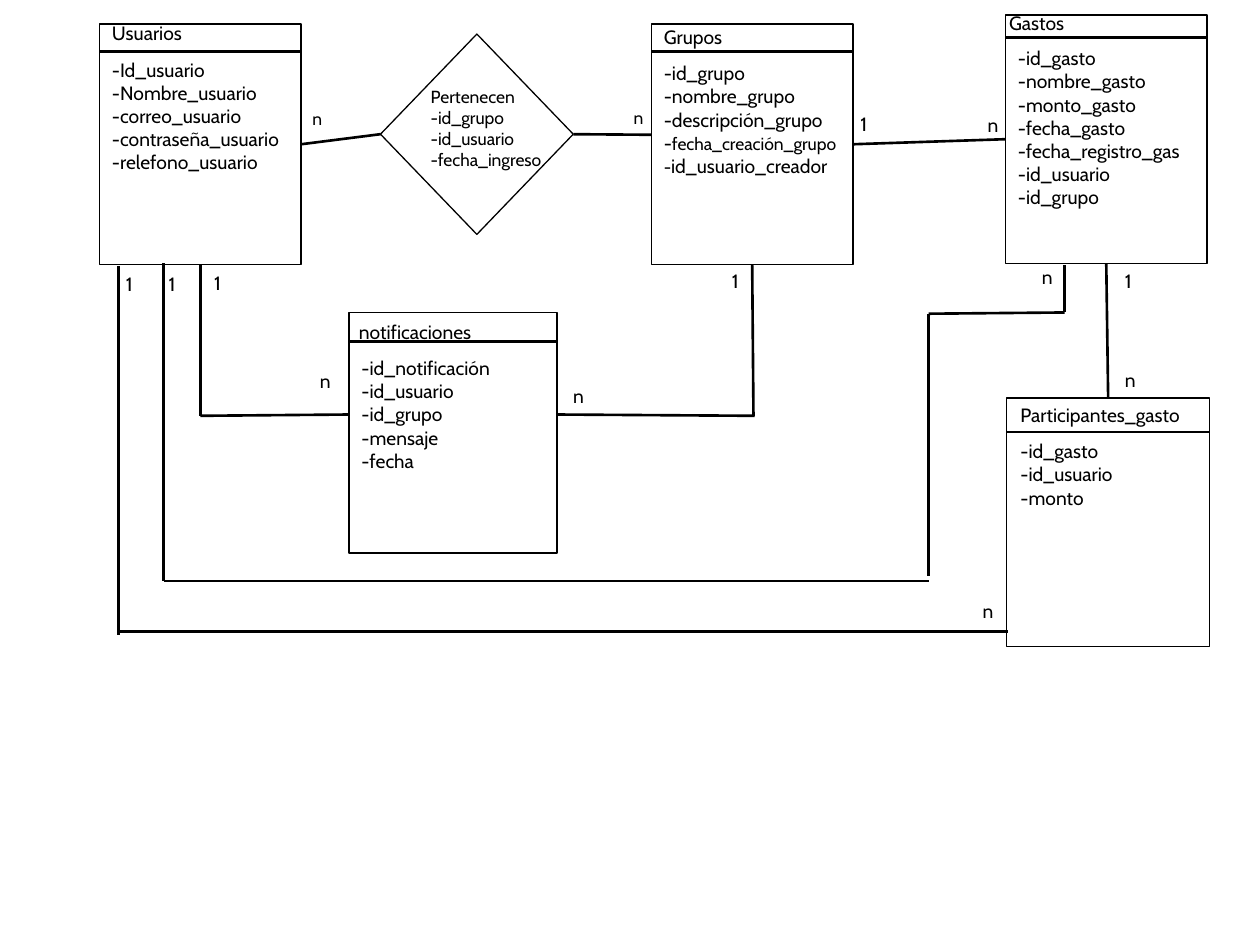
import dataclasses
import typing

import pptx
import pptx.dml.color
import pptx.enum.shapes
import pptx.enum.text
import pptx.oxml.ns
import pptx.util
from lxml import etree

PX = 9144  # EMU per px, at 100 px to the inch
FONT = "Cabin"
INK = "000000"

Frame = tuple[int, int, int, int]  # left, top, width, height
Point = tuple[int, int]


class Span(typing.NamedTuple):
    text: str
    size: int


Line = typing.Union[str, tuple[Span, ...]]


@dataclasses.dataclass
class Entity:
    name: str
    frame: Frame
    rule_y: int
    name_frame: Frame
    fields_frame: Frame
    fields: list[Line]


class Mark(typing.NamedTuple):
    text: str
    left: int
    top: int
    size: int = 11


class Join(typing.NamedTuple):
    shape: typing.Any
    site: int


ENTITIES = [
    Entity("Usuarios", (79, 19, 160, 191), 41, (79, 12, 132, 29), (79, 41, 160, 121),
           ["-Id_usuario", "-Nombre_usuario", "-correo_usuario",
            "-contraseña_usuario", "-relefono_usuario"]),
    Entity("Grupos", (517, 19, 160, 191), 41, (517, 15, 113, 29), (517, 44, 160, 103),
           ["-id_grupo", "-nombre_grupo", "-descripción_grupo",
            (Span("-", 11), Span("fecha_creación_grupo", 10)),
            (Span("-", 10), Span("id_usuario_creador", 11))]),
    Entity("Gastos", (798, 12, 160, 197), 30, (791, 4, 109, 29), (798, 32, 161, 158),
           ["-id_gasto", "-nombre_gasto", "-monto_gasto", "-fecha_gasto",
            "-fecha_registro_gas", "-id_usuario", "-id_grupo"]),
    Entity("Participantes_gasto", (799, 316, 161, 197), 343, (800, 315, 166, 29),
           (800, 344, 159, 84), ["-id_gasto", "-id_usuario", "-monto"]),
    Entity("notificaciones", (277, 248, 165, 191), 271, (275, 249, 140, 29),
           (277, 278, 165, 103),
           ["-id_notificación", "-id_usuario", "-id_grupo", "-mensaje", "-fecha"]),
]

MARKS = [
    Mark("n", 238, 81, 10), Mark("n", 493, 80, 10),
    Mark("1", 673, 84), Mark("n", 774, 85),
    Mark("1", 883, 209), Mark("n", 883, 287),
    Mark("1", 160, 210), Mark("n", 244, 288),
    Mark("n", 445, 300), Mark("1", 571, 209),
    Mark("1", 124, 211), Mark("1", 90, 211),
    Mark("n", 770, 471), Mark("n", 817, 206),
]

LOOSE_LINES: list[tuple[Point, Point]] = [
    ((159, 330), (277, 329)),
    ((442, 329), (599, 330)),
    ((130, 209), (130, 461)),
    ((130, 461), (737, 461)),
    ((737, 457), (737, 249)),
    ((737, 249), (845, 248)),
    ((845, 248), (845, 210)),
    ((94, 211), (94, 504)),
    ((94, 501), (800, 501)),
]


def color(value: str) -> pptx.dml.color.RGBColor:
    return pptx.dml.color.RGBColor.from_string(value)


def emu(*lengths: int) -> list[int]:
    return [length * PX for length in lengths]


def add_outline(page, kind, frame: Frame):
    shape = page.shapes.add_shape(kind, *emu(*frame))
    shape.shadow.inherit = False
    shape.fill.background()
    shape.line.color.rgb = color(INK)
    shape.line.width = pptx.util.Pt(0.75)
    return shape


def add_line(page, start: Point, end: Point,
             begin: typing.Optional[Join] = None, finish: typing.Optional[Join] = None):
    line = page.shapes.add_connector(
        pptx.enum.shapes.MSO_CONNECTOR.STRAIGHT, *emu(*start, *end))
    line.line.color.rgb = color(INK)
    line.line.width = pptx.util.Pt(1.5)
    properties = line._element.spPr
    etree.SubElement(properties, pptx.oxml.ns.qn("a:effectLst"))
    if begin:
        line.begin_connect(*begin)
    if finish:
        line.end_connect(*finish)


def add_text(page, frame: Frame, lines: list[Line], size: int = 11, wrap: bool = True):
    box = page.shapes.add_textbox(*emu(*frame))
    text_frame = box.text_frame
    text_frame.word_wrap = wrap
    text_frame.auto_size = pptx.enum.text.MSO_AUTO_SIZE.SHAPE_TO_FIT_TEXT
    for index, line in enumerate(lines):
        para = text_frame.add_paragraph() if index else text_frame.paragraphs[0]
        for part in (Span(line, size),) if isinstance(line, str) else line:
            span = para.add_run()
            span.text = part.text
            span.font.name = FONT
            span.font.size = pptx.util.Pt(part.size)
            span.font.color.rgb = color(INK)


def add_entity(page, entity: Entity):
    left, _, width, _ = entity.frame
    shape = add_outline(page, pptx.enum.shapes.MSO_SHAPE.RECTANGLE, entity.frame)
    add_line(page, (left, entity.rule_y), (left + width, entity.rule_y))
    add_text(page, entity.name_frame, [entity.name])
    add_text(page, entity.fields_frame, entity.fields)
    return shape


def main():
    deck = pptx.Presentation()
    deck.slide_width, deck.slide_height = emu(1000, 750)
    page = deck.slides.add_slide(deck.slide_layouts[6])

    users, groups, expenses, shares, notices = [
        add_entity(page, entity) for entity in ENTITIES]
    belongs = add_outline(page, pptx.enum.shapes.MSO_SHAPE.DIAMOND, (302, 27, 153, 159))
    add_text(page, (332, 63, 110, 77),
             ["Pertenecen", "-id_grupo", "-id_usuario", "-fecha_ingreso"], 10, False)

    add_line(page, (302, 107), (240, 114), Join(belongs, 1), Join(users, 3))
    add_line(page, (455, 107), (517, 107), Join(belongs, 3))
    add_line(page, (677, 114), (798, 111), Join(groups, 3), Join(expenses, 1))
    add_line(page, (878, 209), (879, 316), Join(expenses, 2), Join(shares, 0))
    add_line(page, (159, 209), (159, 330), Join(users, 2))
    add_line(page, (597, 209), (598, 330), Join(groups, 2))
    for start, end in LOOSE_LINES:
        add_line(page, start, end)

    for mark in MARKS:
        add_text(page, (mark.left, mark.top, 28, 29), [mark.text], mark.size, False)

    deck.save("out.pptx")


if __name__ == "__main__":
    main()
